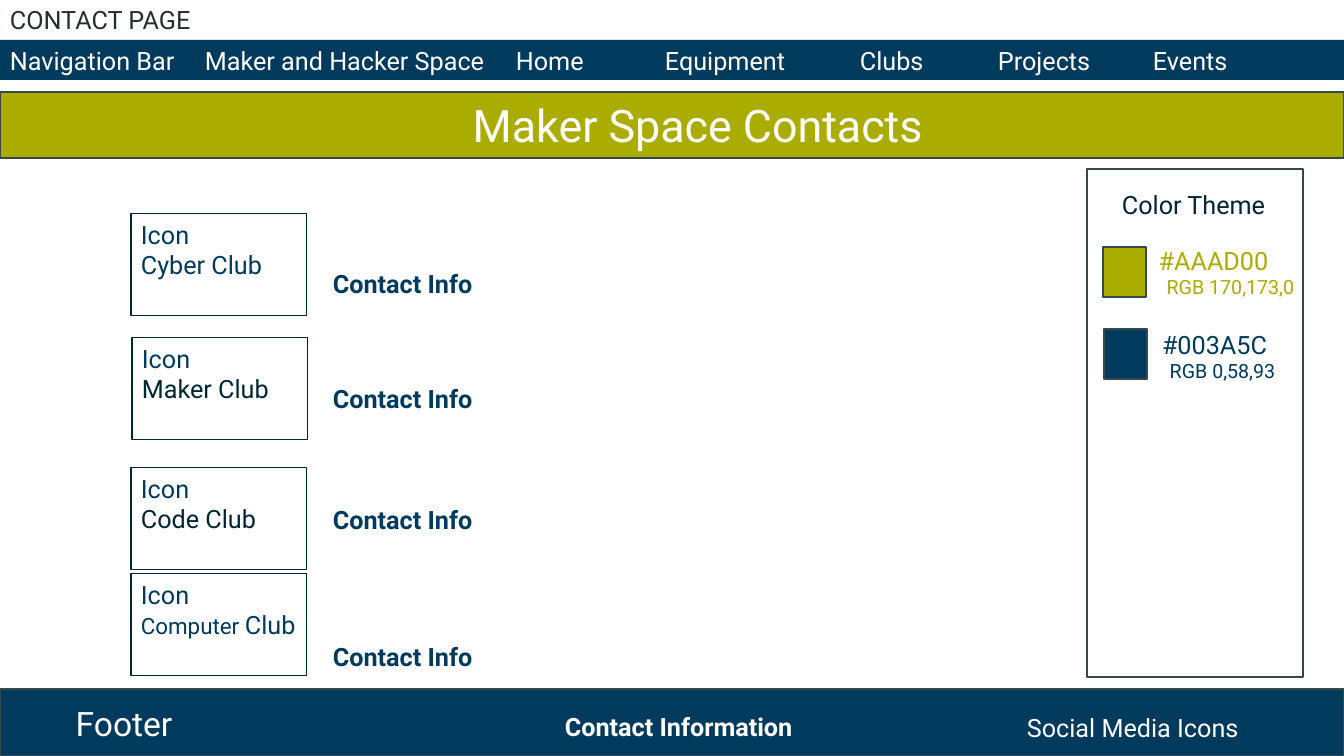
from lxml import etree
from pptx import Presentation, util as u
from pptx.dml.color import RGBColor
from pptx.enum import shapes, text
from pptx.oxml.ns import qn

W, H = 1344, 756
FONT = "Roboto"
C = dict(navy="003A5D", lime="AAAD00", white="FFFFFF", edge="364848",
         ink="002533", dark="243030")
LEFT, CENTER = text.PP_ALIGN.LEFT, text.PP_ALIGN.CENTER

NAV = [("Navigation Bar", 10), ("Maker and Hacker Space", 205), ("Home", 516),
       ("Equipment", 665), ("Clubs", 860), ("Projects", 998), ("Events", 1153)]
CLUBS = [
    (131, 214, [("Cyber Club", 18, "navy")], 263),
    (132, 338, [("Maker Club", 18, "ink")], 378),
    (131, 468, [("Code Club", 18, "ink")], 499),
    (131, 574, [("Computer ", 16, "navy"), ("Club", 18, "navy")], 636),
]
SWATCHES = [
    ("#AAAD00", "RGB 170,173,0", "lime", (1103, 247), (1117, 240), 34),
    ("#003A5C", "RGB 0,58,93", "navy", (1104, 329), (1118, 324), 16),
]
LABELS = [
    ("CONTACT PAGE", (0, -1, 288, 40), 18, "dark", False, LEFT),
    ("Color Theme", (1112, 184, 190, 40), 18, "ink", False, LEFT),
    ("Footer", (0, 698, 248, 50), 24, "white", False, CENTER),
    ("Contact Information", (555, 706, 349, 40), 18, "white", True, LEFT),
    ("Social Media Icons", (1017, 707, 262, 40), 18, "white", False, LEFT),
]


def px(n):
    return u.Emu(round(n * 914400 / 100.8))


def rgb(name):
    return RGBColor.from_string(C[name])


def rect(box, fill=None, line=None, width=1):
    sp = s.shapes.add_shape(shapes.MSO_SHAPE.RECTANGLE, *map(px, box))
    sp.shadow.inherit = False
    if fill:
        sp.fill.solid()
        sp.fill.fore_color.rgb = rgb(fill)
    else:
        sp.fill.background()
    if line:
        sp.line.color.rgb = rgb(line)
        sp.line.width = u.Pt(width)
    else:
        sp.line.fill.background()
    return sp


def write(sp, paragraphs, align=LEFT, bold=False):
    tf = sp.text_frame
    tf.word_wrap = True
    tf.auto_size = text.MSO_AUTO_SIZE.NONE
    tf.vertical_anchor = text.MSO_ANCHOR.TOP
    for i, runs in enumerate(paragraphs):
        p = tf.add_paragraph() if i else tf.paragraphs[0]
        p.alignment = align
        for words, size, color in runs:
            r = p.add_run()
            r.text = words
            r.font.name, r.font.size, r.font.bold = FONT, u.Pt(size), bold
            r.font.color.rgb = rgb(color)
    return tf


def label(box, paragraphs, align=LEFT, bold=False):
    return write(s.shapes.add_textbox(*map(px, box)), paragraphs, align, bold)


prs = Presentation()
prs.slide_width, prs.slide_height = px(W), px(H)
s = prs.slides.add_slide(prs.slide_layouts[5])

title = s.shapes.title
title.left, title.top, title.width, title.height = map(px, (461, 93, 474, 65))
write(title, [[("Maker Space Contacts", 32, "white")]], CENTER)
title.element.addprevious(rect((0, 92, W, 66), "lime", "edge").element)

nav = rect((0, 40, W, 40), "navy")
tf = write(nav, [[("\t".join(name for name, _ in NAV), 18, "white")]])
tabs = etree.SubElement(tf.paragraphs[0]._p.get_or_add_pPr(), qn("a:tabLst"))
for _, x in NAV[1:]:
    etree.SubElement(tabs, qn("a:tab"), pos=str(px(x - NAV[0][1])), algn="l")

rect((0, 689, W, 67), "navy", "edge")
rect((1087, 169, 216, 508), "white", "edge")
for code, values, color, swatch, caption, indent in SWATCHES:
    rect((*swatch, 43, 50), color, "edge")
    tf = label((*caption, 193, 65), [[(code, 18, color)], [(values, 14, color)]], CENTER)
    tf.paragraphs[1]._p.get_or_add_pPr().set("marL", str(px(indent)))

for x, y, club, info_y in CLUBS:
    write(rect((x, y, 176, 102), line="ink", width=0.75), [[("Icon", 18, "navy")], club])
    label((323, info_y, 349, 40), [[("Contact Info", 18, "navy")]], bold=True)

for words, box, size, color, bold, align in LABELS:
    label(box, [[(words, size, color)]], align, bold)

prs.save("out.pptx")
